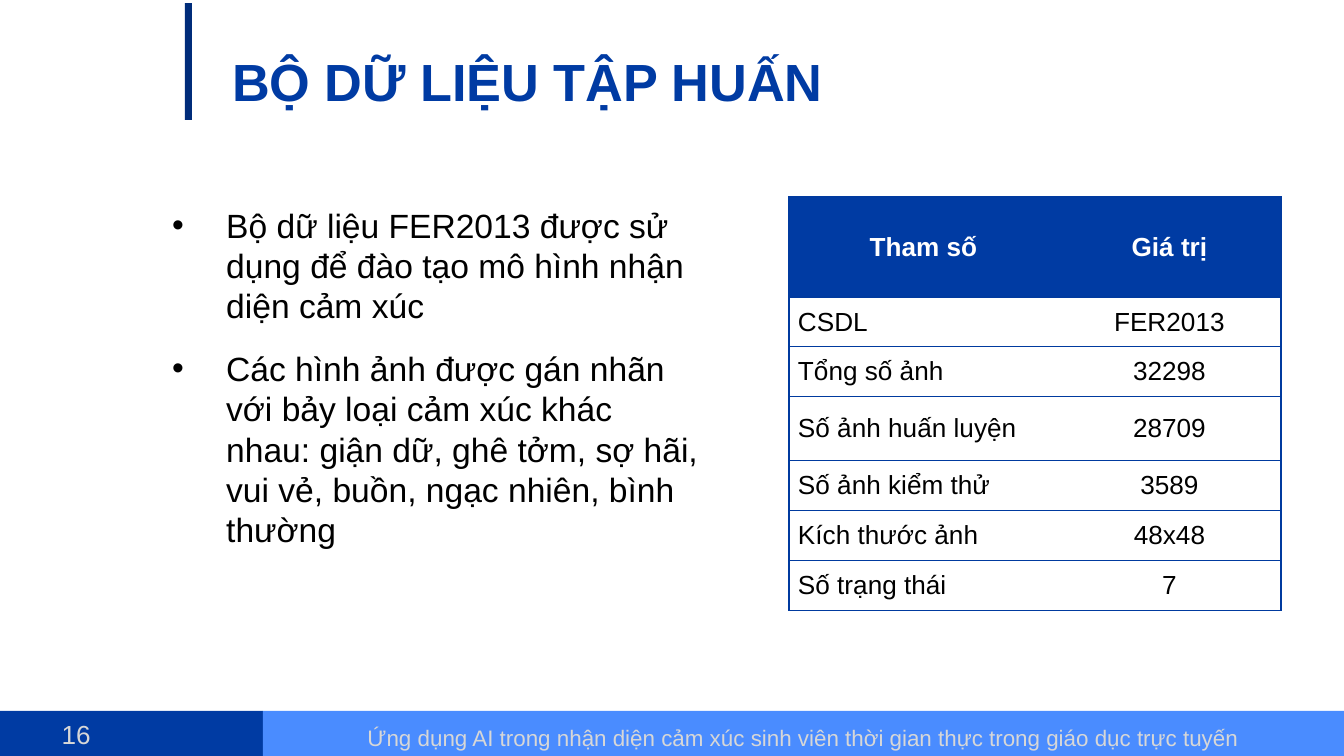
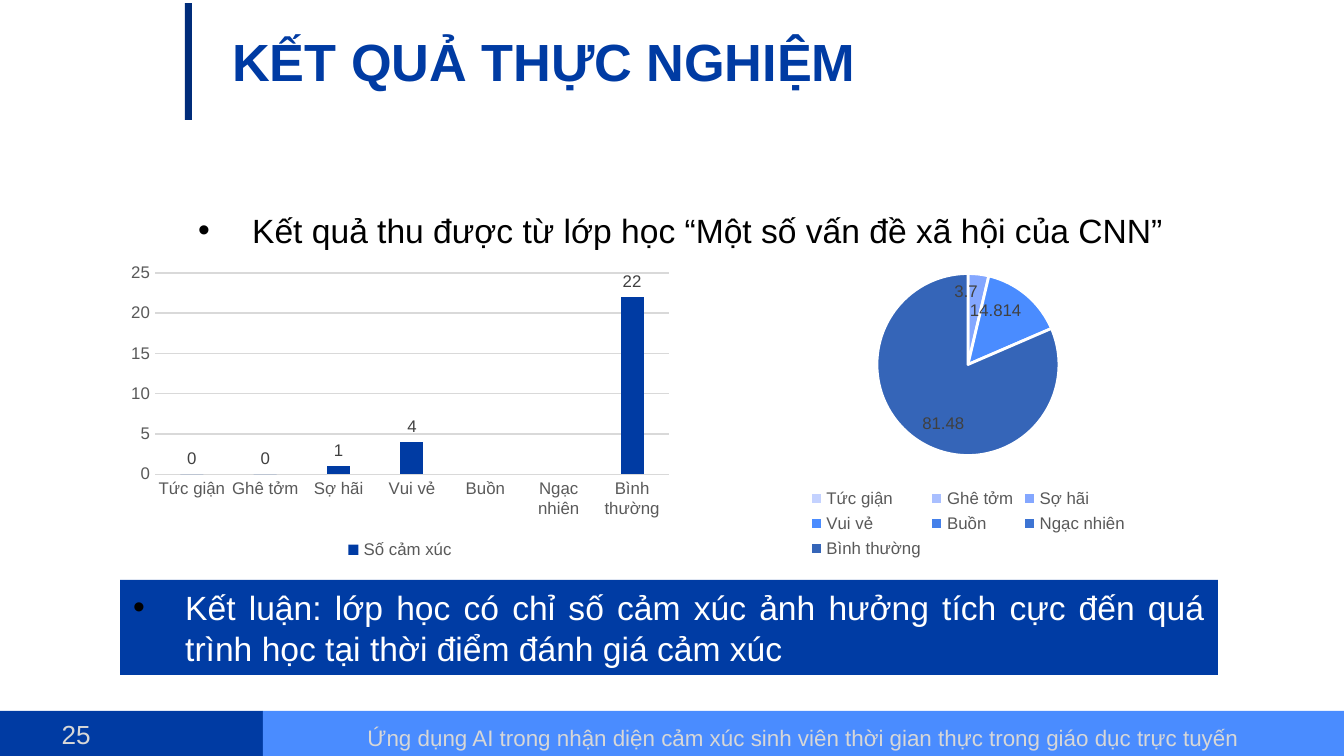
import pptx
import pptx.util
import pptx.chart.data
import pptx.dml.color
import pptx.enum.chart
import pptx.enum.shapes
import pptx.enum.text
import pptx.oxml
import pptx.oxml.ns

# Shared look
SCALE = 914400 / 134.4
FONT = "Arial"
BLUE, LIGHT, DARK = "003BA3", "4A8CFF", "002C7A"
BLACK, WHITE, PALE = "000000", "FFFFFF", "D7D7D7"
EDGE, GRID, GREY, LABEL = "003A9F", "D9D9D9", "595959", "404040"
FOOTER = ("Ứng dụng AI trong nhận diện cảm xúc sinh viên thời gian thực "
          "trong giáo dục trực tuyến")
MOODS = ["Tức giận", "Ghê tởm", "Sợ hãi", "Vui vẻ", "Buồn", "Ngạc nhiên",
         "Bình thường"]
SLICES = ["C4D2FF", "A9BFFF", "84A7FF", "4A8CFF", "4480EA", "3D74D3", "3565B8"]

Align = pptx.enum.text.PP_ALIGN
Anchor = pptx.enum.text.MSO_ANCHOR
Kind = pptx.enum.chart.XL_CHART_TYPE
Spot = pptx.enum.chart.XL_LABEL_POSITION


def px(num):
    return pptx.util.Emu(round(num * SCALE))


def color(code):
    return pptx.dml.color.RGBColor.from_string(code)


def put(item, form):
    for name, value in form.items():
        setattr(item, name, value)


def paint(fill, code):
    fill.solid()
    fill.fore_color.rgb = color(code)


def style(font, size, code, bold=False):
    put(font, {"name": FONT, "size": pptx.util.Pt(size), "bold": bold})
    font.color.rgb = color(code)


def add_node(parent, xml):
    """Append a DrawingML element given as a short string without namespace."""
    head, tail = xml.split(" ", 1)
    space = pptx.oxml.ns.nsdecls("a")
    parent.append(pptx.oxml.parse_xml(f"{head} {space} {tail}"))


# Text and shapes
def bullet(para, indent):
    props = para._p.get_or_add_pPr()
    props.set("marL", str(px(indent)))
    props.set("indent", str(-px(indent)))
    add_node(props, f'<a:buClr ><a:srgbClr val="{BLACK}"/></a:buClr>')
    add_node(props, f'<a:buFont typeface="{FONT}"/>')
    add_node(props, '<a:buChar char="•"/>')


def write(frame, lines, size, code, bold=False, indent=0, gap=0, **form):
    frame.word_wrap = True
    for num, line in enumerate(lines):
        para = frame.add_paragraph() if num else frame.paragraphs[0]
        if indent:
            bullet(para, indent)
        put(para, form)
        if gap:
            para.space_after = pptx.util.Pt(gap)
            para.space_before = pptx.util.Pt(gap if num else 0)
        run = para.add_run()
        run.text = line
        style(run.font, size, code, bold)


def add_text(slide, box, lines, size, code, inset=None, **form):
    frame = slide.shapes.add_textbox(*map(px, box)).text_frame
    if inset:
        put(frame, {"margin_top": px(inset), "margin_bottom": px(inset)})
    write(frame, lines, size, code, **form)


def add_rect(slide, box, code):
    rect = slide.shapes.add_shape(
        pptx.enum.shapes.MSO_SHAPE.RECTANGLE, *map(px, box))
    rect.shadow.inherit = False
    paint(rect.fill, code)
    rect.line.fill.background()
    return rect


def add_page(deck, title, top, number):
    """Blank slide with footer bands, accent bar and title."""
    slide = deck.slides.add_slide(deck.slide_layouts[6])
    add_rect(slide, (0, 711, 263, 45), BLUE)
    add_rect(slide, (263, 711, 1081, 45), LIGHT)
    add_text(slide, (0, 712, 104, 45), [number], 14, PALE,
             alignment=Align.RIGHT)
    add_text(slide, (263, 712, 1081, 45), [FOOTER], 12, PALE,
             alignment=Align.CENTER, line_spacing=1.2)
    add_text(slide, (219, top, 1000, 90), [title], 28, BLUE, inset=13,
             bold=True)
    add_rect(slide, (185, 3, 7, 117), DARK)
    return slide


# Table
def border(cell, sides):
    props = cell._tc.get_or_add_tcPr()
    for side in "LRTB":
        ink = (f'<a:solidFill><a:srgbClr val="{EDGE}"/></a:solidFill>'
               if side in sides else "<a:noFill/>")
        add_node(props, f'<a:ln{side} w="9525">{ink}</a:ln{side}>')


def add_grid(slide, box, wide, high, rows):
    table = slide.shapes.add_table(len(rows), len(wide), *map(px, box)).table
    put(table, {"first_row": True, "horz_banding": False})
    for col, width in zip(table.columns, wide):
        col.width = px(width)
    for y, (row, height) in enumerate(zip(rows, high)):
        table.rows[y].height = px(height)
        for x, text in enumerate(row):
            cell = table.cell(y, x)
            border(cell, "TB" + ("R" if x else "L"))
            put(cell, {"margin_left": px(9), "margin_right": px(9),
                       "margin_top": 0, "margin_bottom": 0,
                       "vertical_anchor": Anchor.MIDDLE})
            if y:
                cell.fill.background()
            else:
                paint(cell.fill, BLUE)
            mid = x or not y
            write(cell.text_frame, [text], 14, BLACK if y else WHITE,
                  bold=not y, gap=2,
                  alignment=Align.CENTER if mid else Align.JUSTIFY)


# Charts
def add_chart(slide, kind, box, name, vals, spot, mask):
    data = pptx.chart.data.CategoryChartData()
    data.categories = MOODS
    data.add_series(name, vals)
    chart = slide.shapes.add_chart(kind, *map(px, box), data).chart
    put(chart, {"has_title": False, "has_legend": True})
    style(chart.font, 10, BLACK)
    put(chart.legend, {
        "position": pptx.enum.chart.XL_LEGEND_POSITION.BOTTOM,
        "include_in_layout": False})
    style(chart.legend.font, 9, GREY)
    plot = chart.plots[0]
    plot.vary_by_categories = kind == Kind.PIE
    labels = plot.series[0].data_labels
    put(labels, {"show_value": True, "position": spot,
                 "number_format": mask, "number_format_is_linked": False})
    style(labels.font, 9, LABEL)
    return chart


def rule(line):
    paint(line.fill, GRID)
    line.width = pptx.util.Pt(0.75)


def add_bars(slide, box, name, vals):
    chart = add_chart(slide, Kind.COLUMN_CLUSTERED, box, name, vals,
                      Spot.OUTSIDE_END, "General")
    plot = chart.plots[0]
    put(plot, {"gap_width": 219, "overlap": -27})
    paint(plot.series[0].format.fill, BLUE)
    none = pptx.enum.chart.XL_TICK_MARK.NONE
    for axis in (chart.category_axis, chart.value_axis):
        put(axis, {"major_tick_mark": none, "minor_tick_mark": none})
        style(axis.tick_labels.font, 9, GREY)
    rule(chart.category_axis.format.line)
    chart.value_axis.format.line.fill.background()
    chart.value_axis.has_major_gridlines = True
    rule(chart.value_axis.major_gridlines.format.line)


def add_pie(slide, box, name, vals):
    # The number mask hides the labels of empty slices
    chart = add_chart(slide, Kind.PIE, box, name, vals,
                      Spot.INSIDE_END, "0.0##;;;")
    series = chart.plots[0].series[0]
    for num, code in enumerate(SLICES):
        form = series.points[num].format
        paint(form.fill, code)
        paint(form.line.fill, WHITE)
        form.line.width = pptx.util.Pt(1.5)


# Slides
def data_page(deck):
    slide = add_page(deck, "BỘ DỮ LIỆU TẬP HUẤN", 36, "16")
    add_text(slide, (159, 198, 558, 362), [
        "Bộ dữ liệu FER2013 được sử dụng để đào tạo mô hình nhận diện cảm xúc",
        "Các hình ảnh được gán nhãn với bảy loại cảm xúc khác nhau: giận dữ, "
        "ghê tởm, sợ hãi, vui vẻ, buồn, ngạc nhiên, bình thường",
    ], 18, BLACK, indent=54, gap=6)
    add_grid(slide, (789, 197, 492, 413), (269, 223),
             (100, 50, 50, 64, 50, 50, 50), [
        ("Tham số", "Giá trị"),
        ("CSDL", "FER2013"),
        ("Tổng số ảnh", "32298"),
        ("Số ảnh huấn luyện", "28709"),
        ("Số ảnh kiểm thử", "3589"),
        ("Kích thước ảnh", "48x48"),
        ("Số trạng thái", "7"),
    ])


def result_page(deck):
    slide = add_page(deck, "KẾT QUẢ THỰC NGHIỆM", 16, "25")
    add_text(slide, (185, 203, 1032, 54), [
        "Kết quả thu được từ lớp học “Một số vấn đề xã hội của CNN”",
    ], 18, BLACK, indent=54)
    add_bars(slide, (120, 257, 560, 308), "Số cảm xúc",
             (0, 0, 1, 4, None, None, 22))
    add_pie(slide, (771, 255, 394, 309), "Series 1",
            (0, 0, 3.7, 14.814, 0, 0, 81.48))
    note = add_rect(slide, (120, 580, 1098, 95), "003CA4")
    write(note.text_frame, [
        "Kết luận: lớp học có chỉ số cảm xúc ảnh hưởng tích cực đến quá trình "
        "học tại thời điểm đánh giá cảm xúc",
    ], 18, WHITE, indent=52, alignment=Align.JUSTIFY)


def main():
    deck = pptx.Presentation()
    put(deck, {"slide_width": px(1344), "slide_height": px(756)})
    data_page(deck)
    result_page(deck)
    deck.save("out.pptx")


if __name__ == "__main__":
    main()
